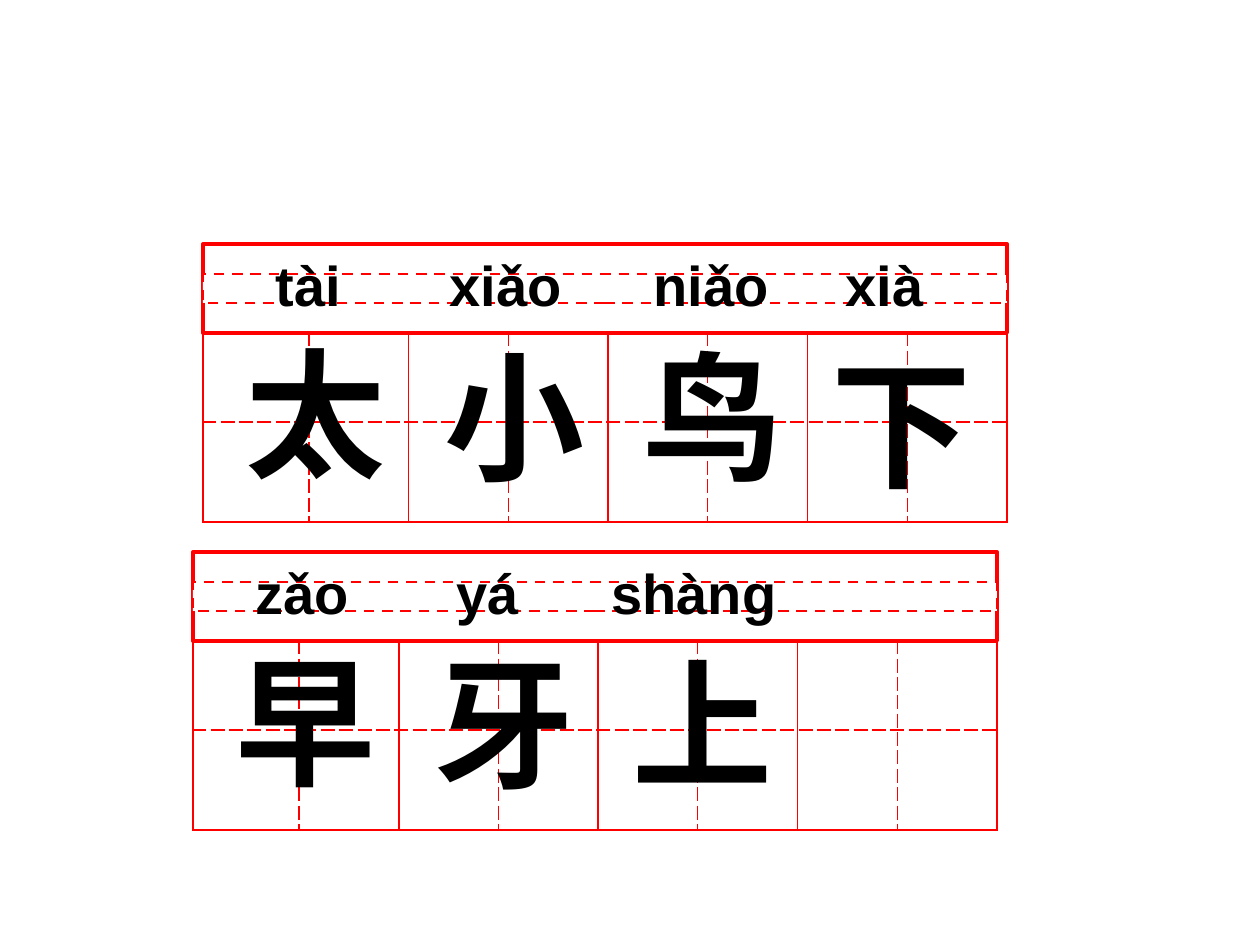
"""Build a slide of pinyin and Chinese characters on two rows of practice grid."""
from lxml.etree import SubElement
from pptx import Presentation
from pptx.dml.color import RGBColor
from pptx.enum.dml import MSO_LINE
from pptx.enum.shapes import MSO_SHAPE
from pptx.enum.text import MSO_AUTO_SIZE
from pptx.oxml.ns import qn
from pptx.util import Emu, Pt

RED = RGBColor(0xFF, 0x00, 0x00)
WHITE = RGBColor(0xFF, 0xFF, 0xFF)
BLACK = RGBColor(0x00, 0x00, 0x00)
EMU_PER_PX = 914400 / 126
GRID_WIDTH, FRAME_HEIGHT, STRIP_HEIGHT = 804, 89, 29
FIRST_COLUMN = 106
ROW_HEIGHTS = [89, 100]

PRACTICE_ROWS = [
    {
        "left": 203, "top": 244,
        "characters": [("太", 233, 321), ("小", 432, 324), ("鸟", 630, 324), ("下", 819, 331)],
        "pinyin": "tài\txiǎo\tniǎo\txià", "pinyin_left": 263, "tabs": [174, 378, 570],
    },
    {
        "left": 193, "top": 552,
        "characters": [("早", 223, 629), ("牙", 422, 631), ("上", 620, 631)],
        "pinyin": "zǎo\tyá\tshàng", "pinyin_left": 243, "tabs": [201, 356],
    },
]


def px(*lengths):
    return [Emu(round(length * EMU_PER_PX)) for length in lengths]


def add_text(text, box, size, tabs=()):
    frame = slide.shapes.add_textbox(*px(*box)).text_frame
    frame.word_wrap = True
    frame.auto_size = MSO_AUTO_SIZE.SHAPE_TO_FIT_TEXT
    paragraph = frame.paragraphs[0]
    paragraph.text = text
    if tabs:
        tab_list = SubElement(paragraph._p.get_or_add_pPr(), qn("a:tabLst"))
        for position in px(*tabs):
            SubElement(tab_list, qn("a:tab"), pos=str(position), algn="l")
    for run in paragraph.runs:
        run.font.name = "Arial"
        run.font.size = Pt(size)
        run.font.bold = True
        run.font.color.rgb = BLACK


prs = Presentation()
prs.slide_width, prs.slide_height = px(1260, 945)
slide = prs.slides.add_slide(prs.slide_layouts[6])

for practice in PRACTICE_ROWS:
    left, top = practice["left"], practice["top"]
    for strip_top, height, weight, dash in [
        (top, FRAME_HEIGHT, 2.25, MSO_LINE.SOLID),
        (top + 30, STRIP_HEIGHT, 1.5, MSO_LINE.DASH),
    ]:
        strip = slide.shapes.add_shape(
            MSO_SHAPE.RECTANGLE, *px(left, strip_top, GRID_WIDTH, height)
        )
        strip.shadow.inherit = False
        strip.fill.solid()
        strip.fill.fore_color.rgb = WHITE
        strip.line.color.rgb = RED
        strip.line.width = Pt(weight)
        strip.line.dash_style = dash

    grid = slide.shapes.add_table(
        2, 8, *px(left, top + FRAME_HEIGHT, GRID_WIDTH, sum(ROW_HEIGHTS))
    ).table
    grid.first_row = False
    grid.horz_banding = False
    for column in grid.columns:
        column.width = px((GRID_WIDTH - FIRST_COLUMN) / 7)[0]
    grid.columns[0].width = px(FIRST_COLUMN)[0]
    for row, height in zip(grid.rows, px(*ROW_HEIGHTS)):
        row.height = height

    for row_index, row in enumerate(grid.rows):
        for column_index, cell in enumerate(row.cells):
            properties = cell._tc.get_or_add_tcPr()
            solid_sides = ("lnR" if column_index % 2 else "lnL", "lnB" if row_index else "lnT")
            for side in ("lnL", "lnR", "lnT", "lnB"):
                solid = side in solid_sides
                border = SubElement(
                    properties, qn(f"a:{side}"), w=str(Pt(1.08 if solid else 0.75))
                )
                fill = SubElement(border, qn("a:solidFill"))
                SubElement(fill, qn("a:srgbClr"), val=str(RED))
                SubElement(border, qn("a:prstDash"), val="solid" if solid else "dash")
            cell.fill.background()

    for character, character_left, character_top in practice["characters"]:
        add_text(character, (character_left, character_top, 179, 181), 80)
    add_text(practice["pinyin"], (practice["pinyin_left"], top, 774, 81), 32, practice["tabs"])

prs.save("out.pptx")
